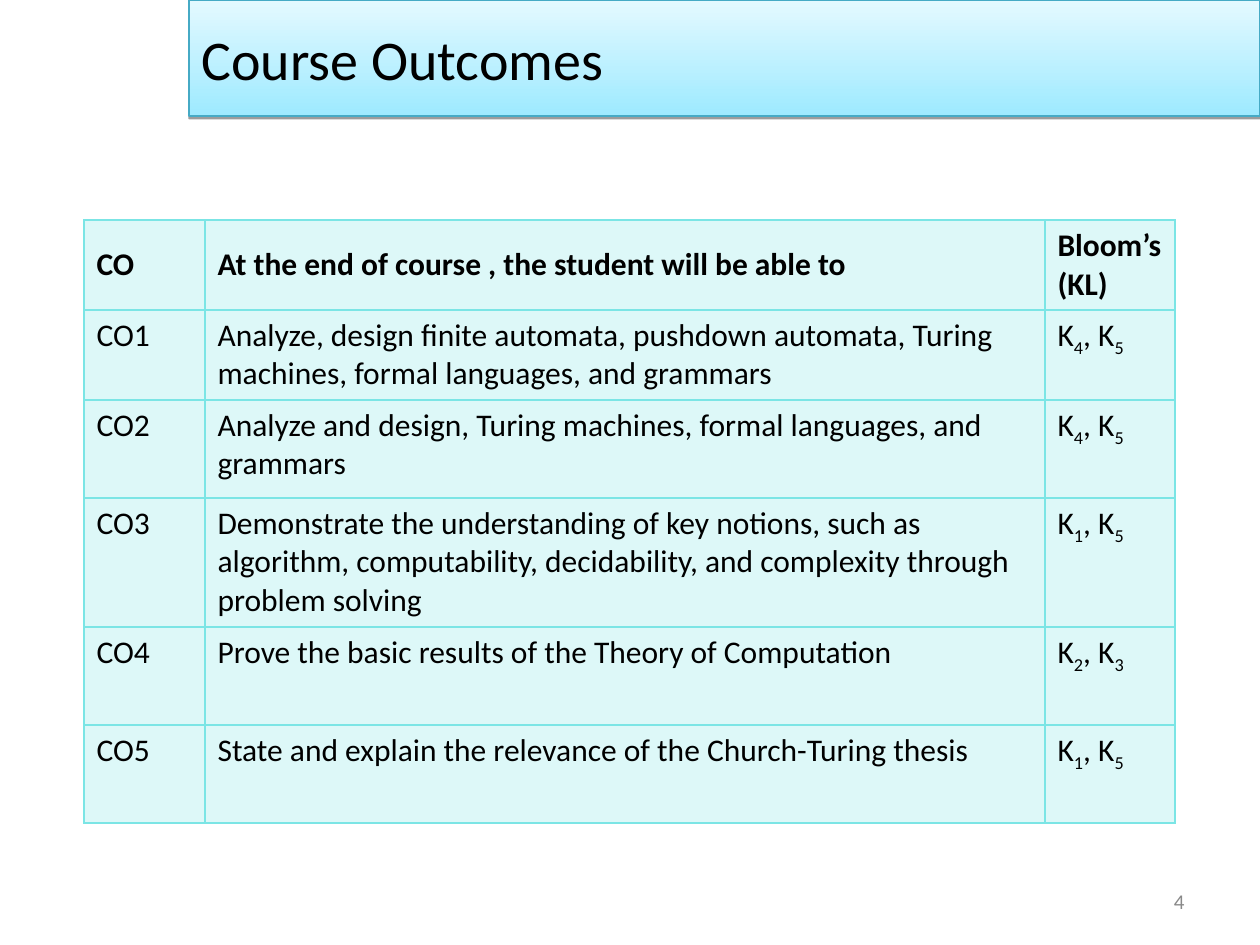
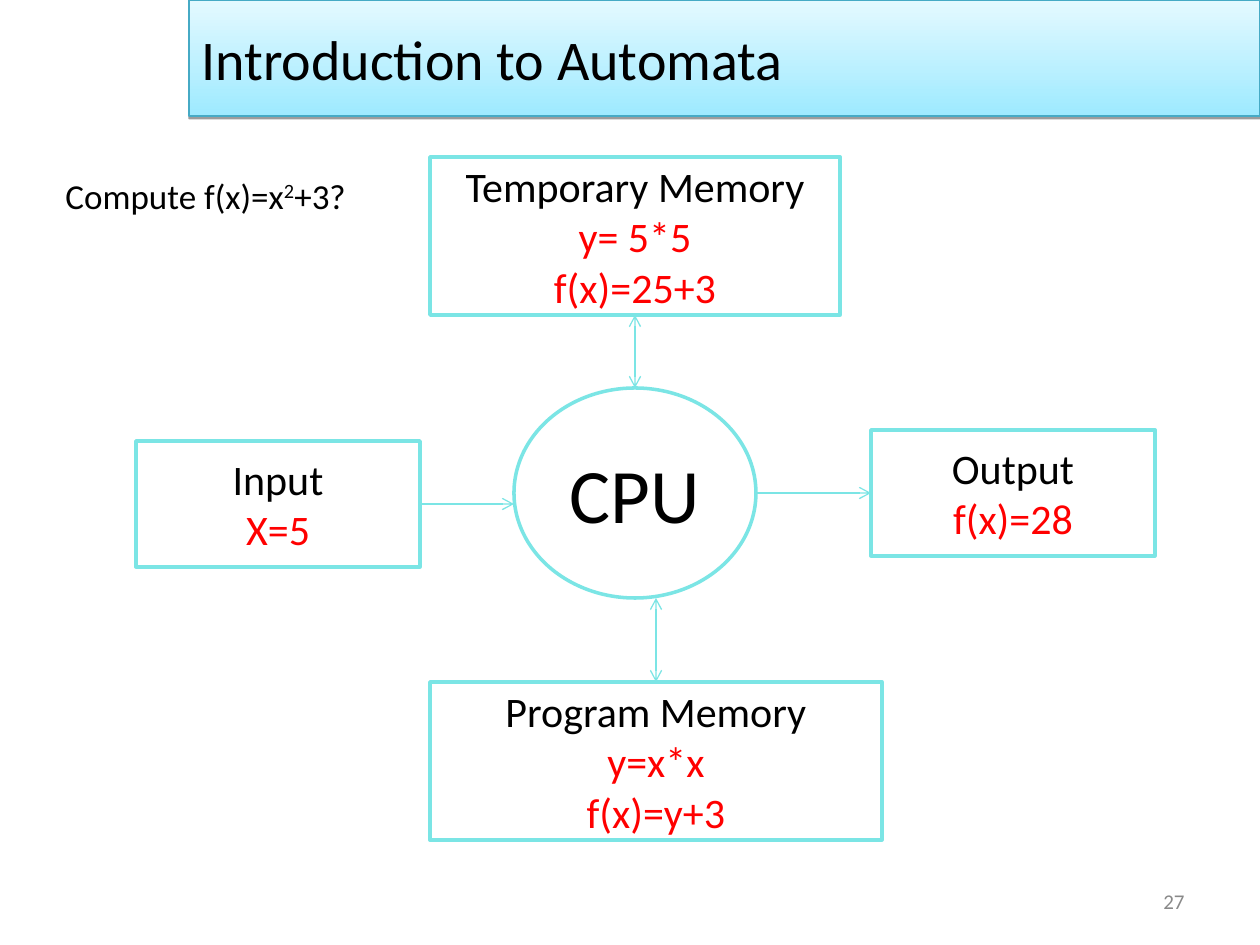
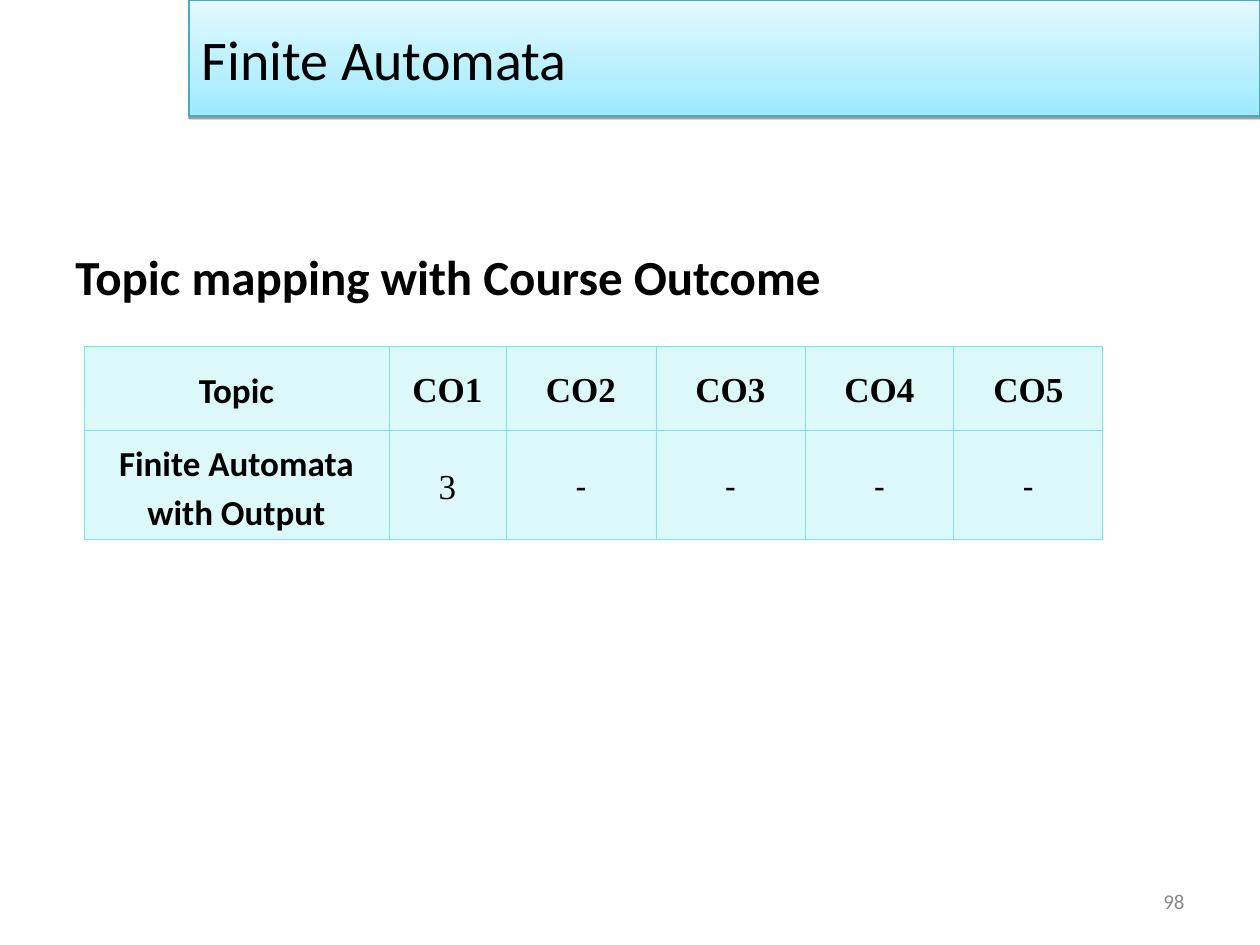
from lxml import etree
from pptx import Presentation
from pptx.dml.color import RGBColor
from pptx.enum.shapes import MSO_CONNECTOR, MSO_SHAPE
from pptx.enum.text import MSO_ANCHOR, MSO_AUTO_SIZE, PP_ALIGN
from pptx.oxml import parse_xml
from pptx.oxml.ns import nsdecls, qn
from pptx.util import Emu, Pt

LEFT, CENTER, RIGHT = PP_ALIGN.LEFT, PP_ALIGN.CENTER, PP_ALIGN.RIGHT
TOP, MIDDLE = MSO_ANCHOR.TOP, MSO_ANCHOR.MIDDLE
RECT, OVAL = MSO_SHAPE.RECTANGLE, MSO_SHAPE.OVAL
STRAIGHT = MSO_CONNECTOR.STRAIGHT
TITLE_ONLY = 5
SIDE_TOP, SIDE_LEFT, SIDE_BOTTOM, SIDE_RIGHT = range(4)

# Shared style
PX_PER_INCH = 126
BLACK, RED, GREY, TEAL = "000000", "FF0000", "898989", "7BE5E5"
BAND_BOTTOM, BAND_TOP, BAND_LINE = "9EEAFF", "E4F9FF", "46AAC5"
SANS, SERIF = "Calibri", "Times New Roman"
SUB, SUPER = -25, 30
BAND_BOX = (189, 0, 1071, 116)
NUMBER_BOX = (903, 876, 294, 50)

# Course outcomes: code, ability, knowledge levels
OUTCOME_HEADS = ("CO", "At the end of course , the student will be able to",
                 "Bloom’s (KL)")
OUTCOMES = [
    ("CO1", "Analyze, design finite automata, pushdown automata, Turing "
            "machines, formal languages, and grammars", (4, 5)),
    ("CO2", "Analyze and design, Turing machines, formal languages, and "
            "grammars", (4, 5)),
    ("CO3", "Demonstrate the understanding of key notions, such as algorithm, "
            "computability, decidability, and complexity through problem "
            "solving", (1, 5)),
    ("CO4", "Prove the basic results of the Theory of Computation", (2, 3)),
    ("CO5", "State and explain the relevance of the Church-Turing thesis",
     (1, 5)),
]
OUTCOME_COLS = (121, 840, 130)
OUTCOME_ROWS = (90, 90, 98, 129, 98, 98)

# Machine model: outline, box, size, heading, worked values
QUESTION = [("Compute f(x)=x", 0), ("2", SUPER), ("+3?", 0)]
UNITS = {
    "cpu": (OVAL, (514, 388, 242, 210), 44, "CPU", ()),
    "input": (RECT, (136, 441, 284, 126), 24, "Input", ("X=5",)),
    "program": (RECT, (430, 682, 452, 158), 24, "Program Memory",
                ("y=x*x", "f(x)=y+3")),
    "output": (RECT, (871, 430, 284, 126), 24, "Output", ("f(x)=28",)),
    "temporary": (RECT, (430, 157, 410, 158), 24, "Temporary Memory",
                  ("y= 5*5", "f(x)=25+3")),
}
# Each link joins a unit's side to the CPU: unit, side, enters CPU, leaves CPU
LINKS = [
    ("input", SIDE_RIGHT, True, False),
    ("output", SIDE_LEFT, False, True),
    ("temporary", SIDE_BOTTOM, True, True),
    ("program", SIDE_TOP, True, True),
]

# Topic mapping
MAPPING_HEADING = "Topic mapping with Course Outcome"
MAPPING = [
    ("Topic", "CO1", "CO2", "CO3", "CO4", "CO5"),
    ("Finite Automata with Output", "3", "-", "-", "-", "-"),
]
MAPPING_COLS = (305, 117, 150, 149, 149, 149)
MAPPING_ROWS = (84, 97)


def px(length):
    return Emu(round(length * 914400 / PX_PER_INCH))


def place(box):
    return [px(length) for length in box]


def rgb(value):
    return RGBColor.from_string(value)


def write(paragraph, runs, size, color=BLACK, bold=False, font=SANS, align=LEFT):
    """Fill a paragraph from a string or from (text, baseline percent) pairs."""
    paragraph.alignment = align
    for text, baseline in [(runs, 0)] if isinstance(runs, str) else runs:
        run = paragraph.add_run()
        run.text = text
        run.font.name, run.font.size, run.font.bold = font, Pt(size), bold
        run.font.color.rgb = rgb(color)
        if baseline:
            run._r.get_or_add_rPr().set("baseline", str(baseline * 1000))


def add_label(slide, box, runs, size, anchor=TOP, **style):
    frame = slide.shapes.add_textbox(*place(box)).text_frame
    frame.word_wrap, frame.vertical_anchor = True, anchor
    write(frame.paragraphs[0], runs, size, **style)


def add_titled_slide(deck, title_text, number):
    slide = deck.slides.add_slide(deck.slide_layouts[TITLE_ONLY])
    band = slide.shapes.title
    band.left, band.top, band.width, band.height = place(BAND_BOX)
    band.fill.gradient()
    band.fill.gradient_angle = 90
    for stop, color in zip(band.fill.gradient_stops, (BAND_BOTTOM, BAND_TOP)):
        stop.color.rgb = rgb(color)
    band.line.color.rgb, band.line.width = rgb(BAND_LINE), Pt(0.75)
    band._element.spPr.append(parse_xml(
        f'<a:effectLst {nsdecls("a")}><a:outerShdw blurRad="0" dist="{Pt(1.6)}" '
        'dir="5400000" rotWithShape="0"><a:srgbClr val="000000">'
        '<a:alpha val="38000"/></a:srgbClr></a:outerShdw></a:effectLst>'))
    frame = band.text_frame
    frame.auto_size, frame.vertical_anchor = MSO_AUTO_SIZE.NONE, MIDDLE
    write(frame.paragraphs[0], title_text, 32)
    add_label(slide, NUMBER_BOX, str(number), 12, MIDDLE, color=GREY, align=RIGHT)
    return slide


def style_cell(cell, border):
    """Tint a cell and draw its four borders."""
    cell.fill.solid()
    cell.fill.fore_color.rgb = rgb(TEAL)
    tc_pr = cell._tc.tcPr
    tint = tc_pr.find(qn("a:solidFill"))[0]
    etree.SubElement(tint, qn("a:alpha")).set("val", "25000")
    for place_in_order, side in enumerate("LRTB"):
        tc_pr.insert(place_in_order, parse_xml(
            f'<a:ln{side} {nsdecls("a")} w="{Pt(border)}"><a:solidFill>'
            f'<a:srgbClr val="{TEAL}"/></a:solidFill></a:ln{side}>'))


def add_grid(slide, left, top, cols, rows, border):
    """Add a tinted table and return it."""
    grid = slide.shapes.add_table(
        len(rows), len(cols), *place((left, top, sum(cols), sum(rows)))).table
    grid.first_row = grid.horz_banding = False
    for column, width in zip(grid.columns, cols):
        column.width = px(width)
    for row, height in zip(grid.rows, rows):
        row.height = px(height)
    for cell in grid.iter_cells():
        style_cell(cell, border)
    return grid


def add_unit(slide, outline, box, size, heading, values):
    unit = slide.shapes.add_shape(outline, *place(box))
    unit.shadow.inherit = False
    unit.fill.background()
    unit.line.color.rgb, unit.line.width = rgb(TEAL), Pt(2)
    frame = unit.text_frame
    frame.word_wrap, frame.vertical_anchor = True, MIDDLE
    write(frame.paragraphs[0], heading, size, align=CENTER)
    for value in values:
        write(frame.add_paragraph(), value, size, RED, align=CENTER)
    return unit


def add_link(slide, unit, side, cpu, enters, leaves):
    """Draw a straight link from the middle of a unit's side to the CPU."""
    mid_x, mid_y = unit.left + unit.width // 2, unit.top + unit.height // 2
    start, end = {
        SIDE_TOP: ((mid_x, unit.top), (mid_x, cpu.top + cpu.height)),
        SIDE_LEFT: ((unit.left, mid_y), (cpu.left + cpu.width, mid_y)),
        SIDE_BOTTOM: ((mid_x, unit.top + unit.height), (mid_x, cpu.top)),
        SIDE_RIGHT: ((unit.left + unit.width, mid_y), (cpu.left, mid_y)),
    }[side]
    link = slide.shapes.add_connector(STRAIGHT, *start, *end)
    link.begin_connect(unit, side)
    link.line.color.rgb, link.line.width = rgb(TEAL), Pt(0.75)
    line = link.line._get_or_add_ln()
    for tag, shown in (("a:headEnd", leaves), ("a:tailEnd", enters)):
        if shown:
            etree.SubElement(line, qn(tag)).set("type", "arrow")
    etree.SubElement(link._element.spPr, qn("a:effectLst"))


def build_outcomes(deck):
    slide = add_titled_slide(deck, "Course Outcomes", 4)
    grid = add_grid(slide, 84, 220, OUTCOME_COLS, OUTCOME_ROWS, 1.08)
    for col, head in enumerate(OUTCOME_HEADS):
        cell = grid.cell(0, col)
        cell.vertical_anchor = MIDDLE
        write(cell.text_frame.paragraphs[0], head, 18, bold=True)
    for row, (code, ability, (low, high)) in enumerate(OUTCOMES, 1):
        levels = [("K", 0), (str(low), SUB), (", K", 0), (str(high), SUB)]
        for col, runs in enumerate((code, ability, levels)):
            write(grid.cell(row, col).text_frame.paragraphs[0], runs, 18)


def build_machine(deck):
    slide = add_titled_slide(deck, "Introduction to Automata", 27)
    units = {key: add_unit(slide, *unit) for key, unit in UNITS.items()}
    for key, side, enters, leaves in LINKS:
        add_link(slide, units[key], side, units["cpu"], enters, leaves)
    add_label(slide, (53, 168, 336, 56), QUESTION, 20)


def build_mapping(deck):
    slide = add_titled_slide(deck, "Finite Automata", 98)
    add_label(slide, (63, 240, 1134, 72), MAPPING_HEADING, 28, bold=True)
    grid = add_grid(slide, 84, 346, MAPPING_COLS, MAPPING_ROWS, 0.45)
    for row, entries in enumerate(MAPPING):
        for col, entry in enumerate(entries):
            cell = grid.cell(row, col)
            cell.vertical_anchor = MIDDLE
            cell.margin_left = cell.margin_right = px(10)
            paragraph = cell.text_frame.paragraphs[0]
            paragraph.line_spacing = 1.15
            write(paragraph, entry, 20, bold=row == 0 or col == 0,
                  font=SANS if col == 0 or entry == "-" else SERIF, align=CENTER)


def main():
    deck = Presentation()
    deck.slide_width, deck.slide_height = px(1260), px(945)
    build_outcomes(deck)
    build_machine(deck)
    build_mapping(deck)
    deck.save("out.pptx")


if __name__ == "__main__":
    main()
